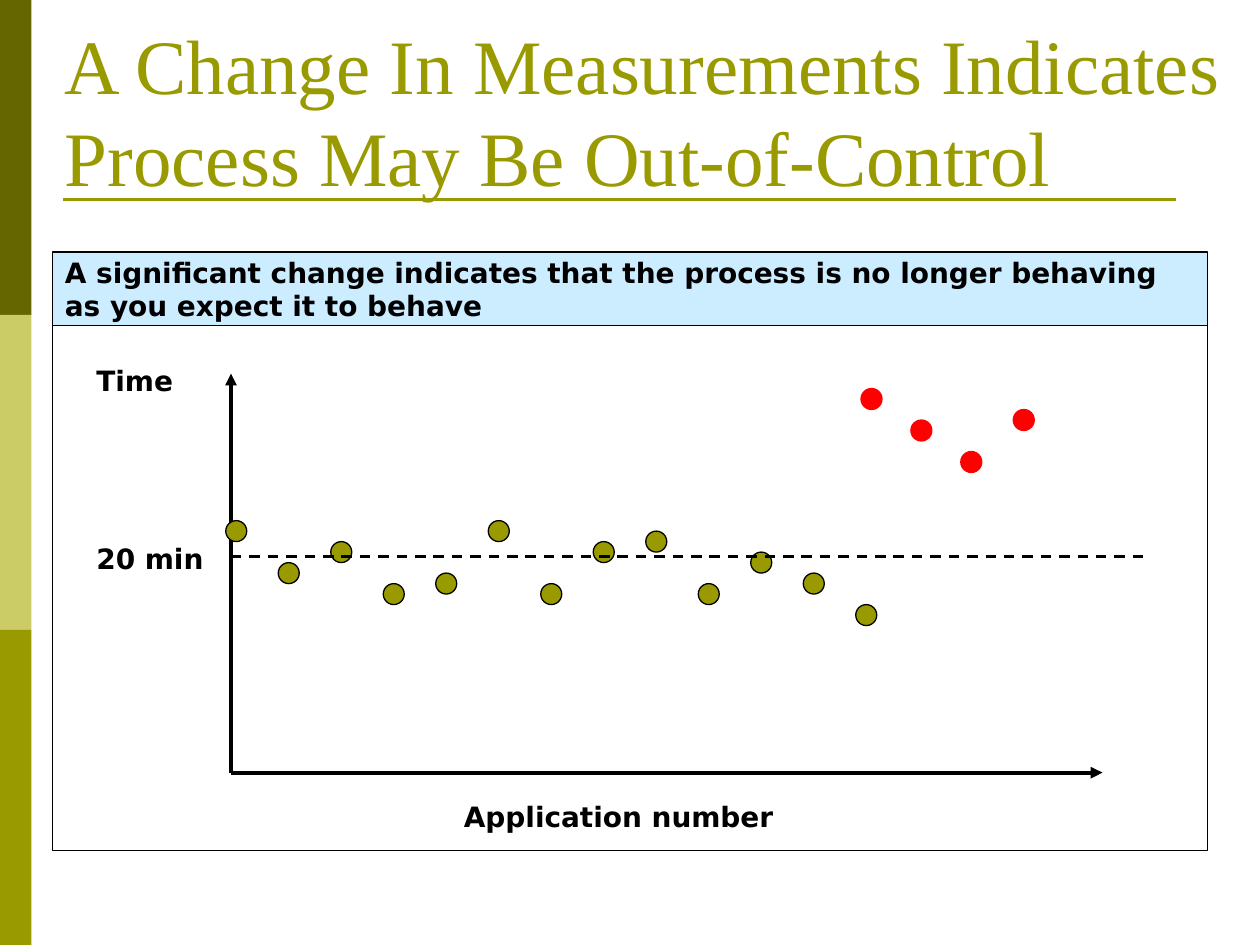
from dataclasses import dataclass

from lxml.etree import SubElement
from pptx import Presentation
from pptx.dml.color import RGBColor
from pptx.enum.dml import MSO_LINE
from pptx.enum.shapes import MSO_CONNECTOR, MSO_SHAPE
from pptx.enum.text import MSO_ANCHOR, PP_ALIGN
from pptx.oxml.ns import qn
from pptx.util import Pt


@dataclass
class Theme:
    dark: RGBColor = RGBColor.from_string("666600")
    pale: RGBColor = RGBColor.from_string("CCCC66")
    olive: RGBColor = RGBColor.from_string("999900")
    black: RGBColor = RGBColor.from_string("000000")
    red: RGBColor = RGBColor.from_string("FF0000")
    sky: RGBColor = RGBColor.from_string("CCECFF")
    serif: str = "Times New Roman"
    sans: str = "DejaVu Sans"
    title: int = 44
    label: int = 16


theme = Theme()
deck = Presentation()
deck.slide_width, deck.slide_height = Pt(720), Pt(540)
slide = deck.slides.add_slide(deck.slide_layouts[6])
shapes = slide.shapes


def add_form(kind, left, top, width, height, fill=None, edge=None):
    form = shapes.add_shape(kind, Pt(left), Pt(top), Pt(width), Pt(height))
    form.shadow.inherit = False
    if fill is None:
        form.fill.background()
    else:
        form.fill.solid()
        form.fill.fore_color.rgb = fill
    if edge is None:
        form.line.fill.background()
    else:
        form.line.color.rgb = edge
        form.line.width = Pt(0.75)
    return form


def add_line(start, end, color, width, arrow=False):
    line = shapes.add_connector(
        MSO_CONNECTOR.STRAIGHT, *(Pt(v) for v in (*start, *end)))
    line.line.color.rgb = color
    line.line.width = Pt(width)
    props = line._element.spPr
    if arrow:
        SubElement(props.find(qn("a:ln")), qn("a:tailEnd"), type="triangle")
    SubElement(props, qn("a:effectLst"))
    return line


for row, color in enumerate((theme.dark, theme.pale, theme.olive)):
    add_form(MSO_SHAPE.RECTANGLE, 0, row * 180, 18, 180, color)
add_line((36, 114), (672, 114), theme.olive, 1.5)

title = shapes.add_textbox(Pt(30), Pt(65), Pt(675), Pt(54))
frame = title.text_frame
frame.word_wrap = True
frame.vertical_anchor = MSO_ANCHOR.BOTTOM
frame.text = "A Change In Measurements Indicates Process May Be Out-of-Control"
font = frame.paragraphs[0].font
font.name, font.size = theme.serif, Pt(theme.title)
font.color.rgb = theme.olive

add_form(MSO_SHAPE.RECTANGLE, 30, 186, 660, 300, edge=theme.black)
banner = add_form(
    MSO_SHAPE.RECTANGLE, 30, 144, 660, 42, theme.sky, theme.black)

origin = (132, 441.5)
add_line(origin, (132, 213.5), theme.black, 2.25, arrow=True)
add_line(origin, (630, 441.5), theme.black, 2.25, arrow=True)

dot = 12
steps = (0, 4, 2, 6, 5, 0, 6, 2, 1, 6, 3, 5, 8)
normal = [(129 + 30 * i, 297.5 + 6 * step) for i, step in enumerate(steps)]
shifted = [(492, 222), (520.5, 240), (549, 258), (579, 234)]
for points, fill, edge in (
    (normal, theme.olive, theme.black),
    (shifted, theme.red, theme.red),
):
    for left, top in points:
        add_form(MSO_SHAPE.OVAL, left, top, dot, dot, fill, edge)

mean = add_line((132, 318), (654, 318), theme.black, 1.5)
mean.line.dash_style = MSO_LINE.DASH

texts = [(banner, "A significant change indicates that the process is no longer "
          "behaving as you expect it to behave")]
for text, left, top, width in (
    ("Time", 48, 204, 90),
    ("20 min", 48, 306, 90),
    ("Application number", 258, 453.5, 234),
):
    label = shapes.add_textbox(Pt(left), Pt(top), Pt(width), Pt(26.5))
    texts.append((label, text))

for box, text in texts:
    frame = box.text_frame
    frame.word_wrap = True
    frame.text = text
    para = frame.paragraphs[0]
    para.alignment = PP_ALIGN.LEFT
    font = para.font
    font.name, font.size, font.bold = theme.sans, Pt(theme.label), True
    font.color.rgb = theme.black
banner.text_frame.vertical_anchor = MSO_ANCHOR.MIDDLE

deck.save("out.pptx")
